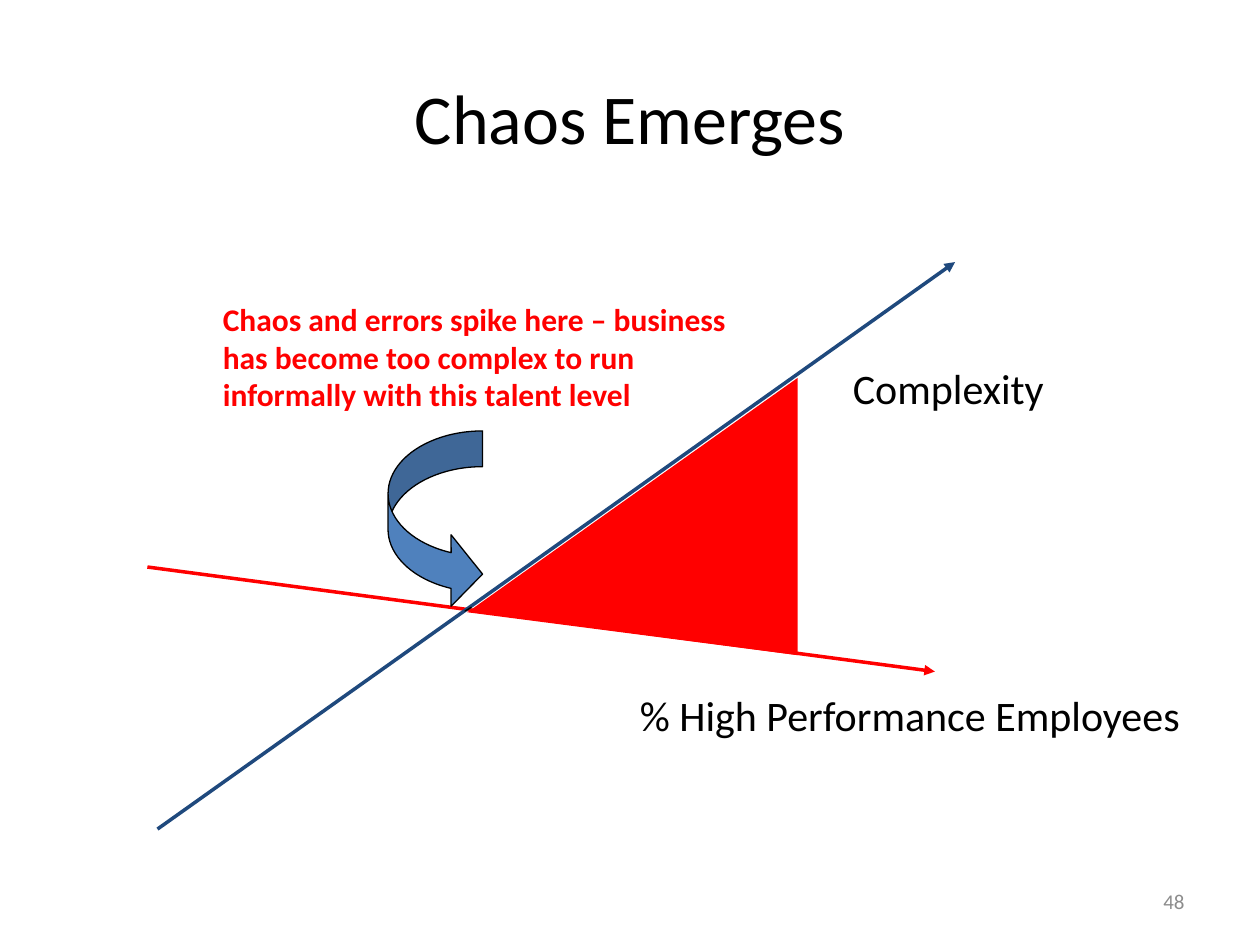
from lxml import etree
from pptx import Presentation
from pptx.dml.color import RGBColor
from pptx.enum.shapes import MSO_CONNECTOR, MSO_SHAPE
from pptx.enum.text import MSO_ANCHOR, MSO_AUTO_SIZE, PP_ALIGN
from pptx.oxml.ns import qn
from pptx.util import Inches, Pt

LINE, ARROW = MSO_CONNECTOR.STRAIGHT, MSO_SHAPE.CURVED_RIGHT_ARROW
TOP, MID = MSO_ANCHOR.TOP, MSO_ANCHOR.MIDDLE
LEFT, CENTER, RIGHT = PP_ALIGN.LEFT, PP_ALIGN.CENTER, PP_ALIGN.RIGHT
FIT, FIXED = MSO_AUTO_SIZE.SHAPE_TO_FIT_TEXT, MSO_AUTO_SIZE.NONE
HEX = {"red": "FF0000", "navy": "1F497D", "blue": "4F81BD",
       "black": "000000", "gray": "8C8C8C"}
RGB = {name: RGBColor.from_string(code) for name, code in HEX.items()}

deck = Presentation()
deck.slide_width, deck.slide_height = Inches(10), Inches(7.5)
slide = deck.slides.add_slide(deck.slide_layouts[6])
shapes = slide.shapes


def paint(shape, fill, line=None):
    shape.shadow.inherit = False
    shape.fill.solid()
    shape.fill.fore_color.rgb = RGB[fill]
    if line:
        shape.line.color.rgb = RGB[line]
        shape.line.width = Pt(0.75)
    else:
        shape.line.fill.background()


# Trend arrows
for start, end, color in [((1.17, 4.5), (7.42, 5.33), "red"),
                          ((1.25, 6.58), (7.58, 2.08), "navy")]:
    trend = shapes.add_connector(LINE, *map(Inches, start + end))
    trend.line.color.rgb = RGB[color]
    trend.line.width = Pt(2)
    etree.SubElement(trend.line._get_or_add_ln(), qn("a:tailEnd"), type="triangle")
    etree.SubElement(trend._element.spPr, qn("a:effectLst"))

# Curved arrow to the crossing
curve = shapes.add_shape(ARROW, Inches(3.08), Inches(3.42), Inches(0.75), Inches(1.42))
for i, value in enumerate([0.378, 0.756, 0.333]):
    curve.adjustments[i] = value
paint(curve, "blue", "black")

# Chaos wedge and the dark mark at its tip
for points, fill, line in [
        ([(3.69, 4.85), (3.74, 4.82), (3.71, 4.84)], "blue", "black"),
        ([(3.71, 4.86), (6.33, 3), (6.33, 5.2)], "red", None)]:
    spots = [(Inches(x), Inches(y)) for x, y in points]
    path = shapes.build_freeform(*spots[0], scale=1.0)
    path.add_line_segments(spots[1:], close=True)
    paint(path.convert_to_shape(), fill, line)

# Texts: words, box, size, colour, bold, alignment, anchor, wrap
note = ("Chaos and errors spike here – business\v"
        "has become too complex to run\v"
        "informally with this talent level")
for words, box, size, color, bold, align, anchor, wrap in [
        ("Chaos Emerges", (0.5, 0.3, 9, 1.25), 40, "black", False, CENTER, MID, True),
        ("% High Performance Employees", (4.98, 5.42, 5.02, 0.5), 24, "black",
         False, LEFT, TOP, False),
        (note, (1.67, 2.33, 4.32, 1.01), 18, "red", True, LEFT, TOP, False),
        ("Complexity", (6.67, 2.83, 1.85, 0.5), 24, "black", False, LEFT, TOP, False),
        ("48", (7.17, 6.95, 2.33, 0.4), 12, "gray", False, RIGHT, MID, True)]:
    frame = shapes.add_textbox(*map(Inches, box)).text_frame
    frame.word_wrap, frame.vertical_anchor = wrap, anchor
    frame.auto_size = FIXED if wrap else FIT
    para = frame.paragraphs[0]
    para.text, para.alignment = words, align
    for run in para.runs:
        for key, value in {"name": "Calibri", "size": Pt(size), "bold": bold}.items():
            setattr(run.font, key, value)
        run.font.color.rgb = RGB[color]

deck.save("out.pptx")
